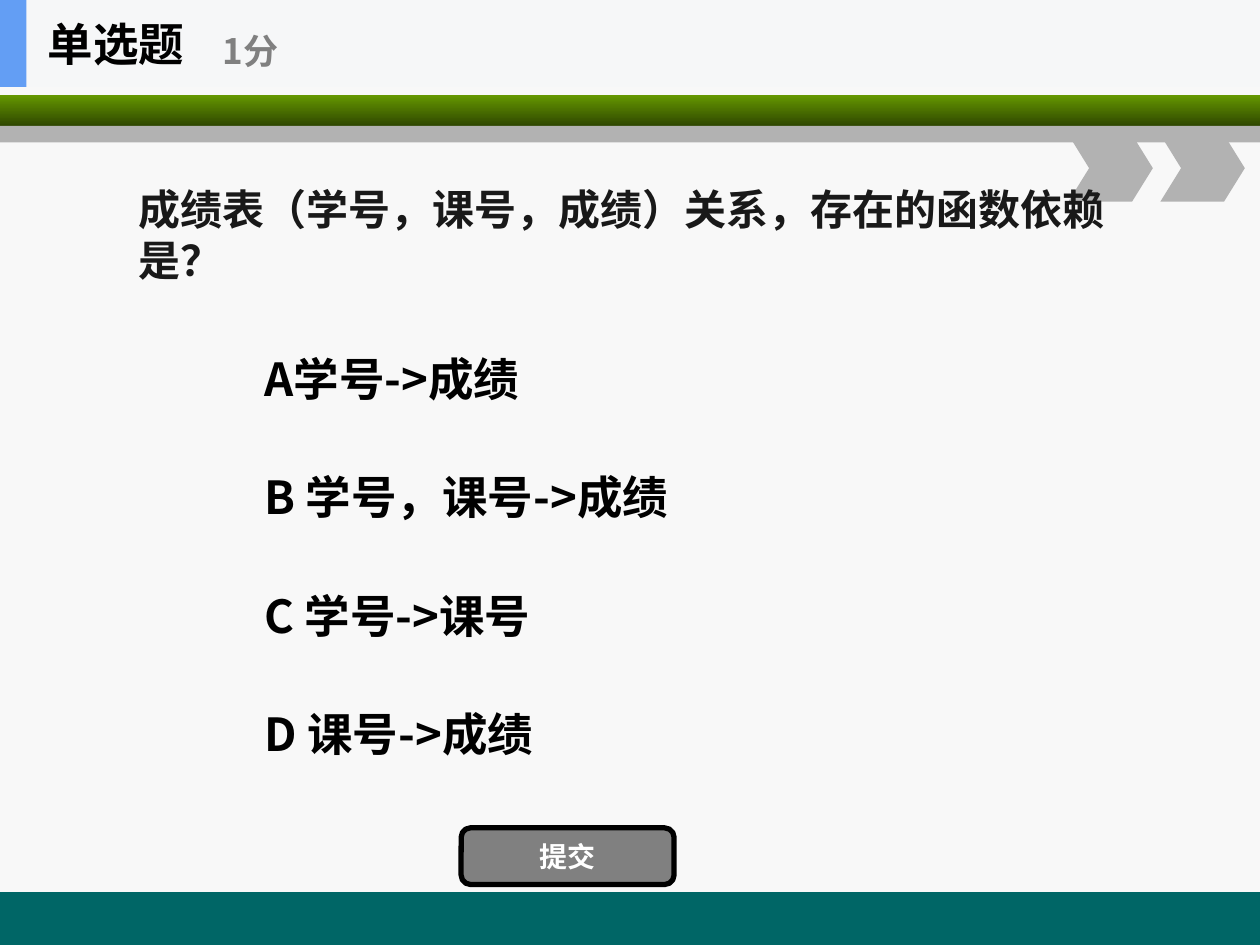
"""Build a single-choice quiz slide."""
from lxml.etree import SubElement
from pptx import Presentation
from pptx.dml.color import RGBColor
from pptx.enum.shapes import MSO_SHAPE as SHAPE
from pptx.enum.text import MSO_ANCHOR as ANCHOR, PP_ALIGN as ALIGN
from pptx.oxml.ns import qn
from pptx.util import Inches, Pt

FONT = "Noto Sans CJK SC"
OPTIONS = ["A学号->成绩", "B 学号，课号->成绩", "C 学号->课号", "D 课号->成绩"]


def rgb(color):
    """Turn a hex string into a colour."""
    return RGBColor.from_string(color)


def write(sp, text, size, color, align=ALIGN.LEFT):
    """Put one bold, vertically centred paragraph in a shape."""
    tf = sp.text_frame
    tf.word_wrap = True
    tf.vertical_anchor = ANCHOR.MIDDLE
    p = tf.paragraphs[0]
    p.text = text
    p.alignment = align
    p.font.size = Pt(size)
    p.font.bold = True
    p.font.name = FONT
    p.font.color.rgb = rgb(color)
    SubElement(p._p.pPr.find(qn("a:defRPr")), qn("a:ea"), typeface=FONT)


def add_block(s, kind, box, color):
    """Add a filled shape without outline or shadow."""
    sp = s.shapes.add_shape(kind, *map(Inches, box))
    sp.shadow.inherit = False
    sp.fill.solid()
    sp.fill.fore_color.rgb = rgb(color)
    sp.line.fill.background()
    return sp


def add_text(s, box, text, size, color="000000"):
    """Add a wrapped text box."""
    write(s.shapes.add_textbox(*map(Inches, box)), text, size, color)


def shade_down(sp, top, bottom):
    """Fill a shape with a gradient running from top to bottom."""
    sp.fill.gradient()
    sp.fill.gradient_angle = 270
    for stop, color in zip(sp.fill.gradient_stops, (top, bottom)):
        stop.color.rgb = rgb(color)


def add_backdrop(s):
    """Add the background, the footer, the bars and the chevrons."""
    s.background.fill.solid()
    s.background.fill.fore_color.rgb = rgb("F8F8F8")
    add_block(s, SHAPE.RECTANGLE, (0, 7.08, 10, 0.42), "006666")
    bar = add_block(s, SHAPE.RECTANGLE, (0, 0.75, 10, 0.25), "669900")
    shade_down(bar, "669900", "2F4700")
    add_block(s, SHAPE.RECTANGLE, (0, 1, 10, 0.13), "B2B2B2")
    for left in (8.48, 9.21):
        chevron = add_block(s, SHAPE.CHEVRON, (left, 1.07, 0.67, 0.53), "B2B2B2")
        chevron.adjustments[0] = 0.31


def add_button(s, box, text):
    """Add an outlined button with a centred label."""
    sp = add_block(s, SHAPE.ROUNDED_RECTANGLE, box, "808080")
    sp.line.color.rgb = rgb("000000")
    sp.line.width = Pt(3)
    write(sp, text, 16, "FFFFFF", ALIGN.CENTER)


def add_header(s):
    """Add the header strip with the question type and its score."""
    add_block(s, SHAPE.RECTANGLE, (0, 0, 10, 0.69), "F6F7F8")
    add_block(s, SHAPE.RECTANGLE, (0, 0, 0.21, 0.69), "639EF4")
    add_text(s, (0.28, 0, 2.08, 0.69), "单选题", 26)
    add_text(s, (1.67, 0.12, 2.5, 0.56), "1分", 20, "808080")


def main():
    """Build and save the slide."""
    prs = Presentation()
    prs.slide_width, prs.slide_height = Inches(10), Inches(7.5)
    s = prs.slides.add_slide(prs.slide_layouts[6])
    add_backdrop(s)
    add_text(s, (1, 0.69, 8, 2.34),
             "成绩表（学号，课号，成绩）关系，存在的函数依赖是？", 24, "191919")
    for i, option in enumerate(OPTIONS):
        add_text(s, (2, 2.65 + 0.94 * i, 7, 0.7), option, 26)
    add_button(s, (3.66, 6.57, 1.69, 0.45), "提交")
    add_header(s)
    prs.save("out.pptx")


if __name__ == "__main__":
    main()
